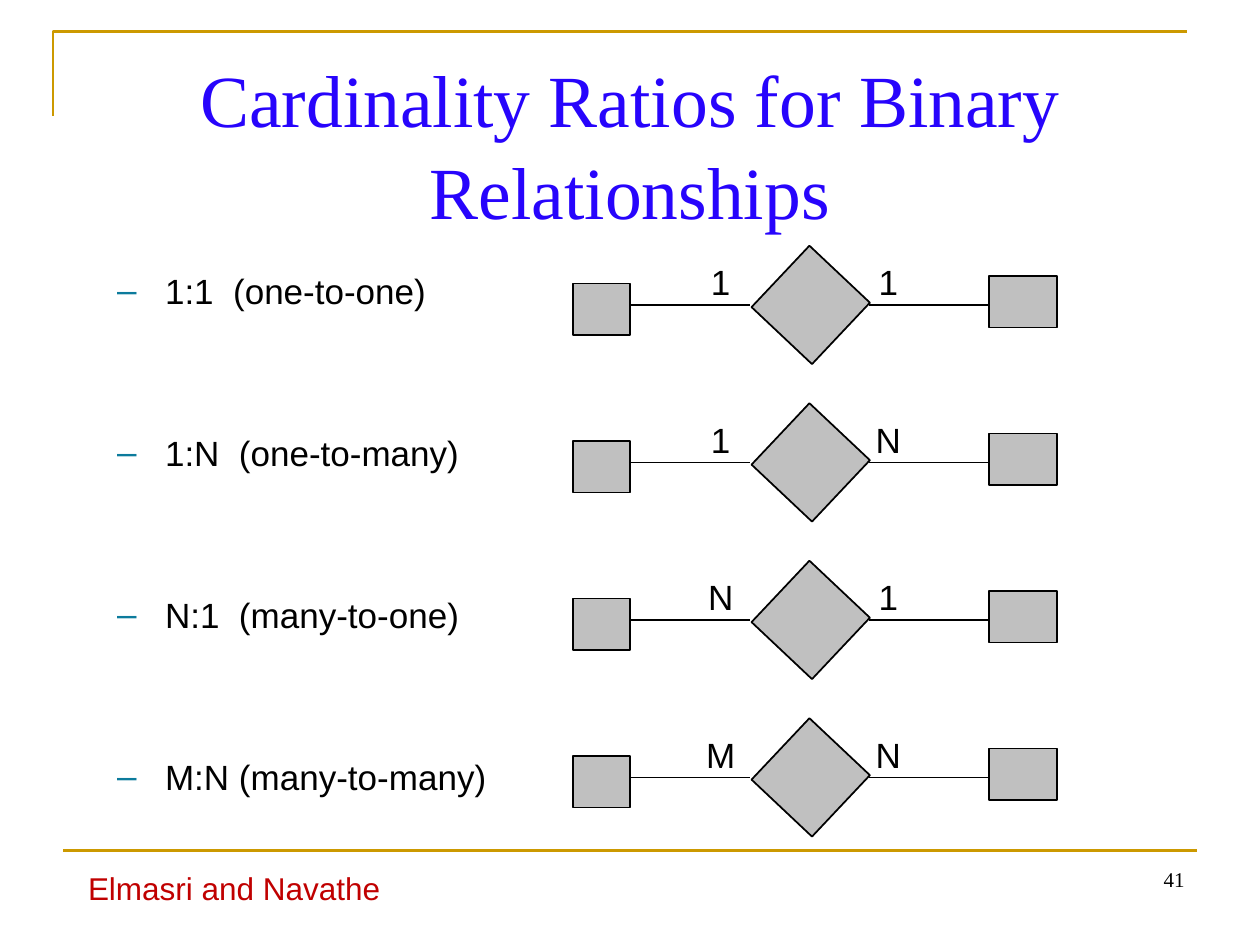
from typing import NamedTuple

from lxml.etree import SubElement as Sub
from pptx import Presentation
from pptx.dml.color import RGBColor
from pptx.enum.shapes import MSO_CONNECTOR as Conn, MSO_SHAPE as Shape
from pptx.enum.text import MSO_ANCHOR as Anchor, MSO_AUTO_SIZE as Fit, PP_ALIGN as Align
from pptx.oxml.ns import qn
from pptx.util import Inches, Pt

GOLD, BLACK, GRAY = "CC9900", "000000", "C0C0C0"
SERIF, SANS = "Times New Roman", "Arial"


class Ratio(NamedTuple):
    text: str
    left: str
    right: str


class Box(NamedTuple):
    x: float
    y: float
    w: float
    h: float
    turn: float = 0


RATIOS = [
    Ratio("1:1  (one-to-one)", "1", "1"),
    Ratio("1:N  (one-to-many)", "1", "N"),
    Ratio("N:1  (many-to-one)", "N", "1"),
    Ratio("M:N (many-to-many)", "M", "N"),
]
STEP = 1.25
# Parts of the first diagram: right entity, left entity, relationship
NODES = [
    Box(7.85, 2.19, 0.54, 0.41),
    Box(4.55, 2.25, 0.45, 0.41),
    Box(6.1, 2.09, 0.67, 0.66, 313.3),
]
LINKS = [(5, 5.95), (6.9, 7.85)]
LINK_Y = 2.42


def color(code: str) -> RGBColor:
    return RGBColor.from_string(code)


def place(shape, box: Box) -> None:
    shape.left, shape.top = Inches(box.x), Inches(box.y)
    shape.width, shape.height = Inches(box.w), Inches(box.h)


def write(shape, *lines: str, size: float, font: str = SANS, ink: str = BLACK,
          align=Align.LEFT, top: float = 0.05, wrap: bool = True,
          gap: float = 0, pitch: float = 1, dash: str = "") -> None:
    frame = shape.text_frame
    frame.auto_size = Fit.NONE
    frame.word_wrap = wrap
    frame.vertical_anchor = Anchor.TOP
    frame.margin_top = Inches(top)
    for i, line in enumerate(lines):
        para = frame.paragraphs[0] if i == 0 else frame.add_paragraph()
        if dash:
            add_dash(para, dash)
        para.alignment = align
        para.line_spacing = pitch
        para.space_before = Pt(gap if i else 0)
        para.space_after = Pt(0)
        run = para.add_run()
        run.text = line
        run.font.size, run.font.name = Pt(size), font
        run.font.color.rgb = color(ink)


def add_dash(para, ink: str) -> None:
    props = para._p.get_or_add_pPr()
    props.set("marL", str(Inches(0.88)))
    props.set("indent", str(Inches(-0.38)))
    Sub(Sub(props, qn("a:buClr")), qn("a:srgbClr"), val=ink)
    Sub(props, qn("a:buFont"), typeface=SANS)
    Sub(props, qn("a:buChar"), char="–")


def add_text(slide, box: Box, text: str, **style) -> None:
    shape = slide.shapes.add_textbox(0, 0, 0, 0)
    place(shape, box)
    write(shape, text, **style)


def add_line(slide, x1: float, x2: float, y: float,
             ink: str = BLACK, width: float = 1) -> None:
    line = slide.shapes.add_connector(
        Conn.STRAIGHT, Inches(x1), Inches(y), Inches(x2), Inches(y))
    line.line.color.rgb, line.line.width = color(ink), Pt(width)
    Sub(line._element.spPr, qn("a:effectLst"))


def add_node(slide, box: Box) -> None:
    node = slide.shapes.add_shape(Shape.RECTANGLE, 0, 0, 0, 0)
    place(node, box)
    node.rotation = box.turn
    node.shadow.inherit = False
    node.fill.solid()
    node.fill.fore_color.rgb = color(GRAY)
    node.line.color.rgb, node.line.width = color(BLACK), Pt(1)


def add_frame(slide) -> None:
    pen = slide.shapes.build_freeform(Inches(0.42), Inches(0.92))
    pen.add_line_segments(
        [(Inches(0.42), Inches(0.25)), (Inches(9.42), Inches(0.25))], close=False)
    corner = pen.convert_to_shape()
    corner.shadow.inherit = False
    corner.fill.background()
    corner.line.color.rgb, corner.line.width = color(GOLD), Pt(1.5)
    add_line(slide, 0.5, 9.5, 6.75, GOLD, 1.5)


def add_diagram(slide, ratio: Ratio, drop: float) -> None:
    for node in NODES:
        add_node(slide, node._replace(y=node.y + drop))
    for x1, x2 in LINKS:
        add_line(slide, x1, x2, LINK_Y + drop)
    for x, text in ((5.47, ratio.left), (6.8, ratio.right)):
        add_text(slide, Box(x, 2 + drop, 0.5, 0.43), text,
                 size=20, align=Align.CENTER, top=0.07)


def main() -> None:
    deck = Presentation()
    deck.slide_width, deck.slide_height = Inches(10), Inches(7.5)
    slide = deck.slides.add_slide(deck.slide_layouts[1])
    title, body = slide.placeholders

    # Gold rules
    add_frame(slide)

    # Title and list of ratios
    place(title, Box(0.5, 0.3, 9, 1.25))
    write(title, "Cardinality Ratios for Binary Relationships", size=42,
          font=SERIF, ink="2704FC", align=Align.CENTER, top=0.1, pitch=1.04)
    place(body, Box(0.33, 1.58, 9.1, 5.67))
    write(body, *(r.text for r in RATIOS), size=20, top=0.56, gap=68.5,
          dash="0C7B9C")

    # One diagram per ratio
    for i, ratio in enumerate(RATIOS):
        add_diagram(slide, ratio, i * STEP)

    # Footer
    add_text(slide, Box(7.17, 6.83, 2.33, 0.52), "41", size=12, font=SERIF,
             align=Align.RIGHT)
    add_text(slide, Box(0.6, 6.85, 2.52, 0.4), "Elmasri and Navathe", size=18,
             ink="C00000", wrap=False)
    deck.save("out.pptx")


if __name__ == "__main__":
    main()
